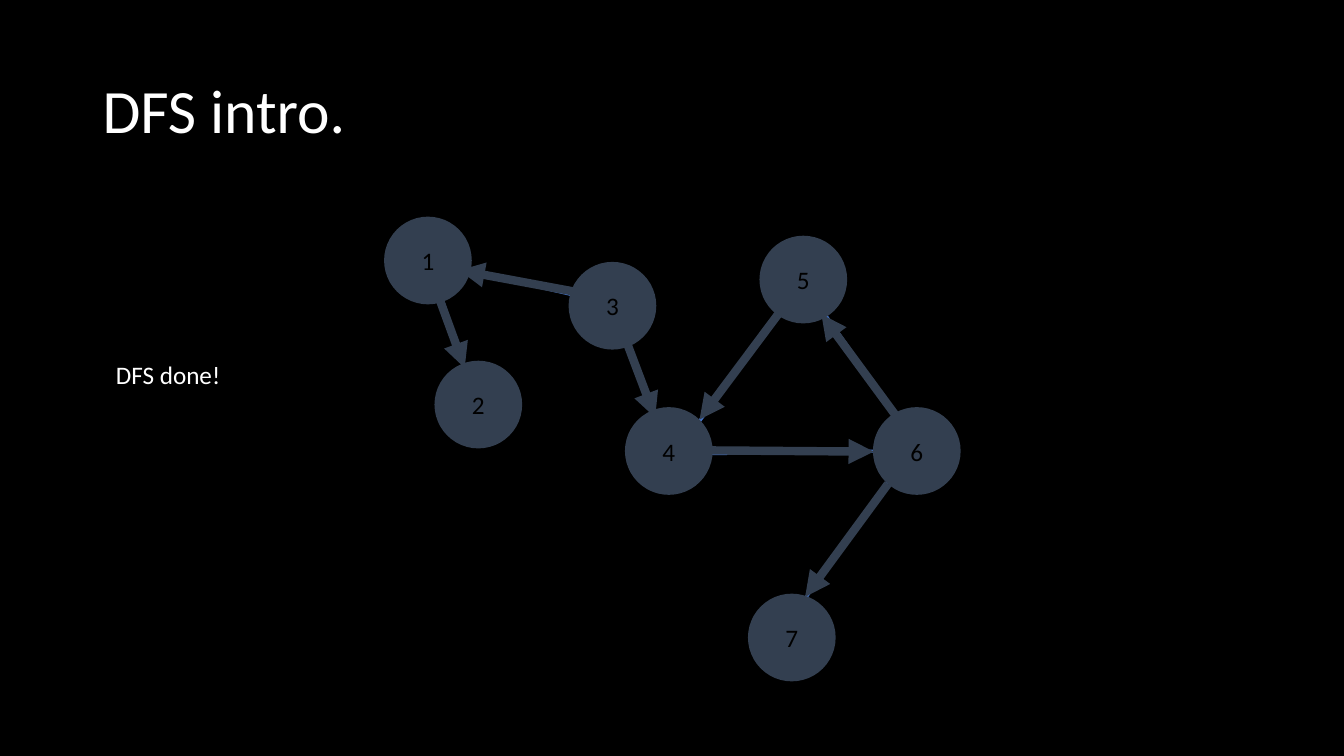
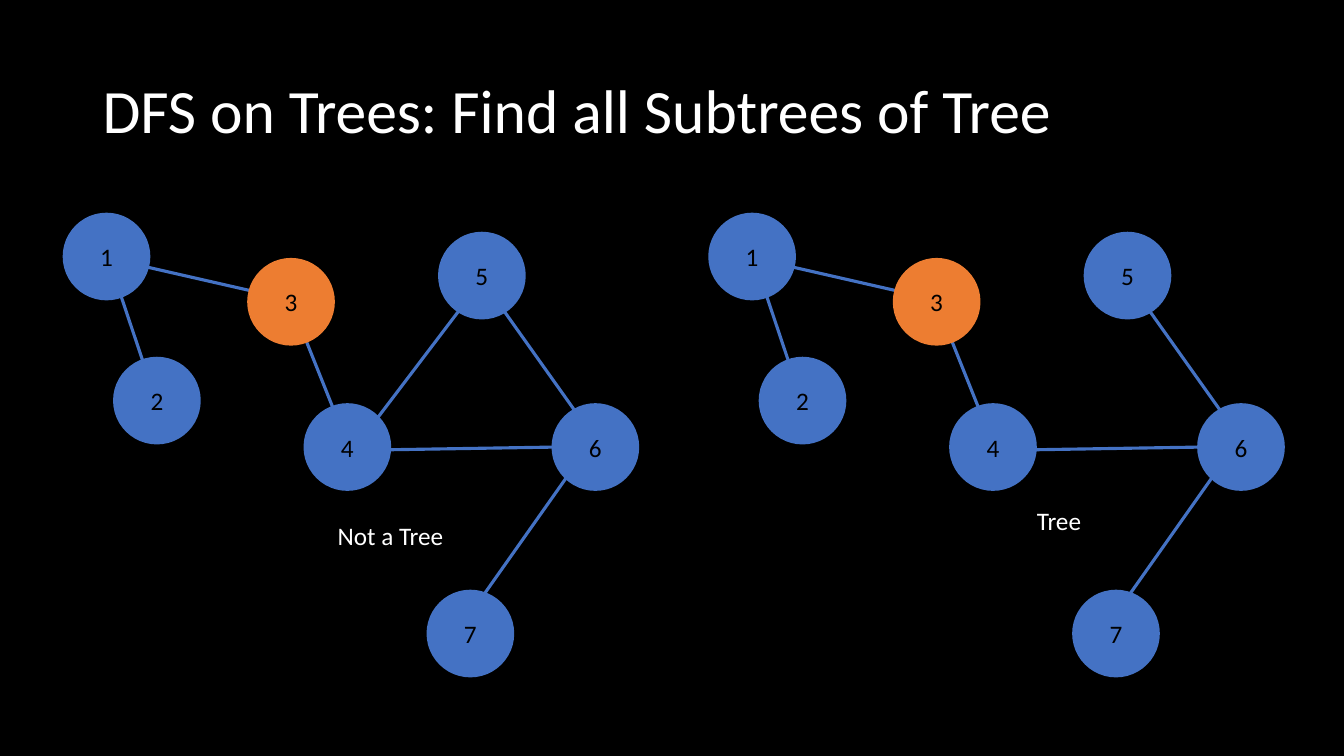
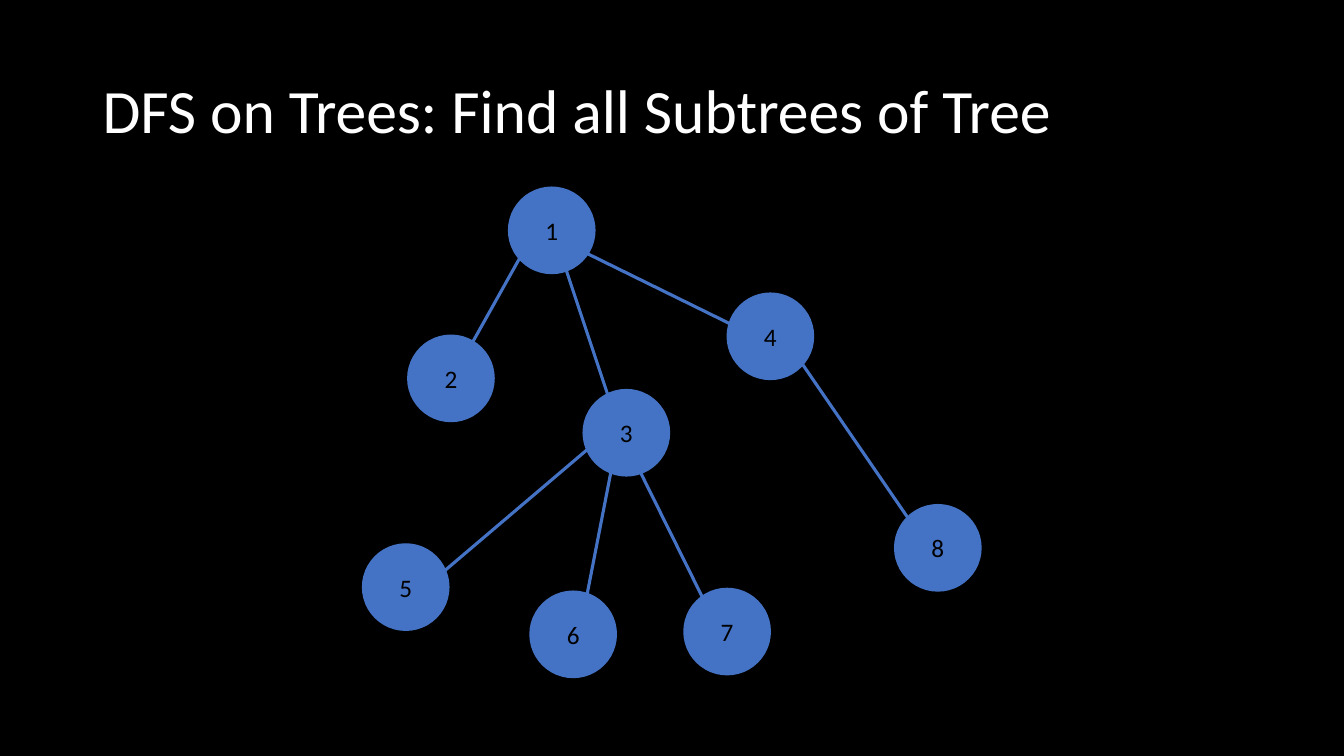
"""Build three slides on depth-first search with node-and-edge graphs."""
import dataclasses
import typing

import lxml.etree
import pptx
import pptx.dml.color
import pptx.enum.shapes
import pptx.enum.text
import pptx.oxml.ns
import pptx.presentation
import pptx.shapes.connector
import pptx.slide
import pptx.text.text
import pptx.util

Cm = pptx.util.Cm
Pt = pptx.util.Pt
Point = tuple[float, float]


@dataclasses.dataclass(frozen=True)
class Theme:
    font: str = "Calibri"
    background: str = "000000"
    title_color: str = "FFFFFF"
    node_text: str = "000000"
    unvisited: str = "4472C4"
    active: str = "ED7D31"
    finished: str = "333F50"
    title_size: float = 44
    text_size: float = 18
    edge_width: float = 2.25
    arrow_width: float = 6
    node_diameter: float = 2.21


@dataclasses.dataclass(frozen=True)
class Edge:
    start: Point
    end: Point


@dataclasses.dataclass(frozen=True)
class Graph:
    nodes: dict[str, Point]
    edges: dict[str, Edge]


@dataclasses.dataclass(frozen=True)
class Caption:
    text: str
    left: float
    top: float
    width: float


THEME = Theme()
TITLE_BOX = {"left": Cm(2.33), "top": Cm(1.01), "width": Cm(29.21), "height": Cm(3.68)}
CAPTION_HEIGHT = 1.02
TREE_TITLE = "DFS on Trees: Find all Subtrees of Tree"

CYCLIC_GRAPH = Graph(
    nodes={
        "1": (0, 0),
        "2": (1.27, 3.63),
        "4": (6.07, 4.8),
        "3": (4.65, 1.14),
        "5": (9.46, 0.48),
        "7": (9.17, 9.5),
        "6": (12.32, 4.8),
    },
    edges={
        "1-2": Edge((1.02, 0.76), (2.46, 5.05)),
        "1-3": Edge((1.12, 1.14), (5.94, 2.24)),
        "4-3": Edge((7.24, 5.99), (5.74, 2.24)),
        "6-7": Edge((13.41, 5.66), (9.86, 10.69)),
        "4-5": Edge((7.19, 6.15), (10.57, 1.7)),
        "4-6": Edge((7.19, 5.99), (13.36, 5.89)),
        "5-6": Edge((10.57, 1.7), (13.44, 5.74)),
    },
)
TREE_GRAPH = dataclasses.replace(
    CYCLIC_GRAPH,
    edges={name: edge for name, edge in CYCLIC_GRAPH.edges.items() if name != "4-5"},
)
ROOTED_TREE = Graph(
    nodes={
        "1": (12.8, 4.7),
        "2": (10.26, 8.43),
        "3": (14.68, 9.8),
        "4": (18.31, 7.37),
        "6": (13.34, 14.88),
        "7": (17.22, 14.81),
        "8": (22.53, 12.7),
        "5": (9.12, 13.69),
    },
    edges={
        "1-4": Edge((14.15, 6.07), (18.95, 8.43)),
        "1-3": Edge((14.15, 6.45), (15.54, 10.62)),
        "1-2": Edge((13.34, 6.07), (11.76, 8.89)),
        "3-5": Edge((15.01, 11.15), (10.62, 14.88)),
        "3-6": Edge((15.54, 11.15), (14.68, 15.57)),
        "3-7": Edge((15.98, 11.58), (17.96, 15.57)),
        "4-8": Edge((19.71, 8.43), (23.32, 13.69)),
    },
)
VISIT_ARROWS = (
    Edge((14.43, 7.34), (11.58, 6.81)),
    Edge((11.07, 7.52), (11.71, 9.27)),
    Edge((15.75, 8.51), (16.51, 10.52)),
    Edge((17.93, 11.35), (22.02, 11.38)),
    Edge((22.61, 10.52), (20.7, 7.92)),
    Edge((19.81, 7.65), (17.63, 10.57)),
    Edge((22.38, 12.19), (20.29, 15.04)),
)


def rgb(color: str) -> pptx.dml.color.RGBColor:
    return pptx.dml.color.RGBColor.from_string(color)


def apply_format(target: typing.Any, values: dict[str, typing.Any]) -> None:
    for name, value in values.items():
        setattr(target, name, value)


def write_text(
    frame: pptx.text.text.TextFrame,
    text: str,
    color: str,
    size: float = THEME.text_size,
    **paragraph_format: typing.Any,
) -> None:
    paragraph = frame.paragraphs[0]
    apply_format(paragraph, paragraph_format)
    run = paragraph.add_run()
    run.text = text
    apply_format(run.font, {"name": THEME.font, "size": Pt(size)})
    run.font.color.rgb = rgb(color)


def draw_line(
    shapes: typing.Any, edge: Edge, color: str, width: float, origin: Point = (0, 0)
) -> pptx.shapes.connector.Connector:
    points = [Cm(base + value) for point in (edge.start, edge.end) for base, value in zip(origin, point)]
    connector = shapes.add_connector(pptx.enum.shapes.MSO_CONNECTOR.STRAIGHT, *points)
    connector.line.color.rgb = rgb(color)
    connector.line.width = Pt(width)
    lxml.etree.SubElement(connector._element.spPr, pptx.oxml.ns.qn("a:effectLst"))
    return connector


def draw_arrow(slide: pptx.slide.Slide, edge: Edge) -> None:
    connector = draw_line(slide.shapes, edge, THEME.finished, THEME.arrow_width)
    outline = connector._element.spPr.find(pptx.oxml.ns.qn("a:ln"))
    lxml.etree.SubElement(outline, pptx.oxml.ns.qn("a:tailEnd"), type="triangle")


def draw_node(shapes: typing.Any, label: str, left: float, top: float, color: str) -> None:
    diameter = Cm(THEME.node_diameter)
    shape = shapes.add_shape(pptx.enum.shapes.MSO_SHAPE.OVAL, Cm(left), Cm(top), diameter, diameter)
    shape.shadow.inherit = False
    shape.fill.solid()
    shape.fill.fore_color.rgb = rgb(color)
    shape.line.fill.background()
    shape.text_frame.vertical_anchor = pptx.enum.text.MSO_ANCHOR.MIDDLE
    write_text(shape.text_frame, label, THEME.node_text, alignment=pptx.enum.text.PP_ALIGN.CENTER)


def draw_graph(
    slide: pptx.slide.Slide,
    graph: Graph,
    origin: Point = (0, 0),
    color: str = THEME.unvisited,
    active_node: str = "",
) -> None:
    shapes = slide.shapes.add_group_shape().shapes
    for edge in graph.edges.values():
        draw_line(shapes, edge, THEME.unvisited, THEME.edge_width, origin)
    for label, (left, top) in graph.nodes.items():
        fill = THEME.active if label == active_node else color
        draw_node(shapes, label, origin[0] + left, origin[1] + top, fill)


def draw_caption(slide: pptx.slide.Slide, caption: Caption) -> None:
    box = slide.shapes.add_textbox(
        Cm(caption.left), Cm(caption.top), Cm(caption.width), Cm(CAPTION_HEIGHT)
    )
    apply_format(
        box.text_frame,
        {"word_wrap": False, "auto_size": pptx.enum.text.MSO_AUTO_SIZE.SHAPE_TO_FIT_TEXT},
    )
    write_text(box.text_frame, caption.text, THEME.title_color)


def add_titled_slide(presentation: pptx.presentation.Presentation, title: str) -> pptx.slide.Slide:
    slide = presentation.slides.add_slide(presentation.slide_layouts.get_by_name("Title Only"))
    placeholder = slide.shapes.title
    apply_format(placeholder, TITLE_BOX)
    apply_format(
        placeholder.text_frame,
        {
            "vertical_anchor": pptx.enum.text.MSO_ANCHOR.MIDDLE,
            "auto_size": pptx.enum.text.MSO_AUTO_SIZE.NONE,
            "word_wrap": True,
        },
    )
    write_text(
        placeholder.text_frame,
        title,
        THEME.title_color,
        THEME.title_size,
        alignment=pptx.enum.text.PP_ALIGN.LEFT,
        line_spacing=0.9,
    )
    return slide


def main() -> None:
    presentation = pptx.Presentation()
    apply_format(presentation, {"slide_width": Cm(33.87), "slide_height": Cm(19.05)})
    background = presentation.slide_master.background.fill
    background.solid()
    background.fore_color.rgb = rgb(THEME.background)

    intro = add_titled_slide(presentation, "DFS intro.")
    draw_graph(intro, CYCLIC_GRAPH, (9.68, 5.46), THEME.finished)
    for arrow in VISIT_ARROWS:
        draw_arrow(intro, arrow)
    draw_caption(intro, Caption("DFS done!", 2.67, 8.92, 3.18))

    comparison = add_titled_slide(presentation, TREE_TITLE)
    draw_graph(comparison, CYCLIC_GRAPH, (1.58, 5.36), active_node="3")
    draw_graph(comparison, TREE_GRAPH, (17.85, 5.36), active_node="3")
    draw_caption(comparison, Caption("Not a Tree", 8.26, 12.98, 3.2))
    draw_caption(comparison, Caption("Tree", 25.88, 12.62, 1.65))

    subtrees = add_titled_slide(presentation, TREE_TITLE)
    draw_graph(subtrees, ROOTED_TREE)

    presentation.save("out.pptx")


if __name__ == "__main__":
    main()
